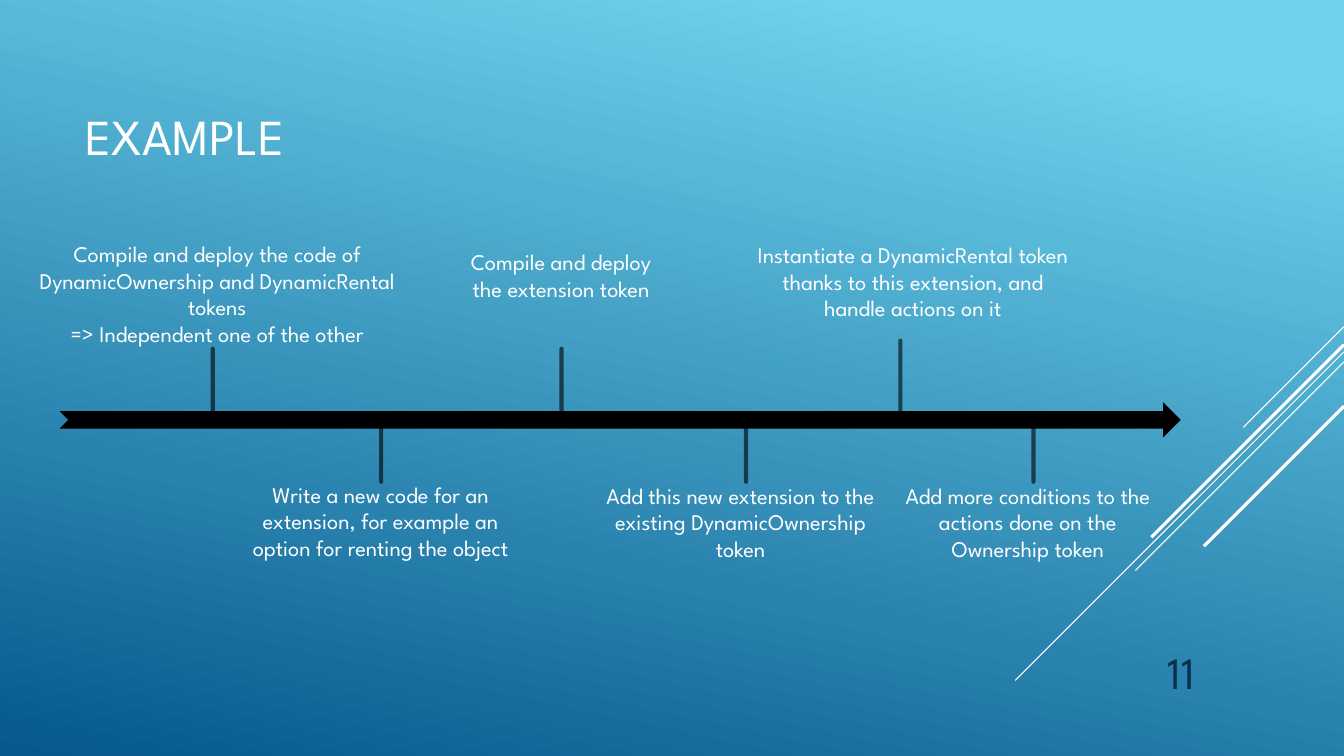
from collections import namedtuple
from dataclasses import dataclass

from lxml import etree
from pptx import Presentation
from pptx.dml.color import RGBColor as RGB
from pptx.enum.shapes import MSO_CONNECTOR as Conn, MSO_SHAPE as Shape
from pptx.enum.text import MSO_ANCHOR as Anchor, MSO_AUTO_SIZE as Fit, PP_ALIGN as Align
from pptx.oxml.ns import qn
from pptx.util import Inches, Pt

Box = namedtuple("Box", "x y w h")
Step = namedtuple("Step", "stem_x stem_y box lines")


@dataclass(frozen=True)
class Theme:
    """Colours, font and type sizes of the deck."""
    font: str = "League Spartan"
    white: RGB = RGB(0xFF, 0xFF, 0xFF)
    black: RGB = RGB(0, 0, 0)
    navy: RGB = RGB(0x0A, 0x30, 0x4A)
    sky: RGB = RGB(0x6E, 0xD2, 0xEB)
    deep: RGB = RGB(0x06, 0x58, 0x8E)
    title: int = 36
    number: int = 32
    body: int = 16
    thin: float = 0.75
    thick: float = 2.25
    stem: float = 3


T = Theme()
SLIDE = Box(0, 0, 13.33, 7.5)
STEM = 0.69
STEM_BELOW = 0.63

# Stem positions and label boxes are relative to the timeline box.
STEPS = [
    Step(1.52, -0.53, Box(-0.34, -1.66, 3.81, 1.18),
         ["Compile and deploy the code of DynamicOwnership and DynamicRental tokens",
          "=> Independent one of the other"]),
    Step(3.19, 0.16, Box(1.81, 0.73, 2.75, 1.18),
         ["Write a new code for an extension, for example an option for renting the object"]),
    Step(4.98, -0.53, Box(3.94, -1.58, 2.07, 0.91),
         ["Compile and deploy the extension token"]),
    Step(6.81, 0.16, Box(5.27, 0.74, 2.97, 1.18),
         ["Add this new extension to the existing DynamicOwnership token"]),
    Step(8.34, -0.61, Box(6.74, -1.65, 3.45, 0.91),
         ["Instantiate a DynamicRental token thanks to this extension, and handle actions on it"]),
    Step(9.66, 0.16, Box(8.29, 0.74, 2.63, 1.18),
         ["Add more conditions to the actions done on the Ownership token"]),
]

# Each streak: start height on the right edge, horizontal run, weight.
STREAKS = [
    (3.24, 1.0, T.thin),
    (3.49, 3.26, T.thin),
    (3.59, 2.07, T.thin),
    (3.42, 1.91, T.thick),
    (4.03, 1.39, T.thick),
]


def add_text(s, box, lines, size, color, align=Align.LEFT, anchor=Anchor.TOP, fit=Fit.NONE):
    """Add a wrapped text box with one paragraph per line."""
    sp = s.shapes.add_textbox(*map(Inches, box))
    tf = sp.text_frame
    tf.word_wrap = True
    tf.auto_size = fit
    tf.vertical_anchor = anchor
    for i, line in enumerate(lines):
        p = tf.add_paragraph() if i else tf.paragraphs[0]
        p.alignment = align
        r = p.add_run()
        r.text = line
        r.font.name = T.font
        r.font.size = Pt(size)
        r.font.color.rgb = color


def add_line(s, x1, y1, x2, y2, color, weight, alpha=None):
    """Add a shadowless line, round-capped and see-through when alpha is given."""
    sp = s.shapes.add_connector(Conn.STRAIGHT, *map(Inches, (x1, y1, x2, y2)))
    sp.line.color.rgb = color
    sp.line.width = Pt(weight)
    spPr = sp._element.spPr
    if alpha is not None:
        ln = spPr.find(qn("a:ln"))
        ln.set("cap", "rnd")
        clr = ln.find(".//" + qn("a:srgbClr"))
        etree.SubElement(clr, qn("a:alpha")).set("val", str(alpha * 1000))
    etree.SubElement(spPr, qn("a:effectLst"))


def add_background(s):
    """Fill the slide with the sky-to-deep gradient."""
    fill = s.background.fill
    fill.gradient()
    fill.gradient_angle = 258
    for stop, pos, color in zip(fill.gradient_stops, (0.1, 1), (T.sky, T.deep)):
        stop.position = pos
        stop.color.rgb = color


def add_streaks(s, box):
    """Draw the 45-degree streaks that run down from the right edge of the box."""
    right = box.x + box.w
    for y, run, weight in STREAKS:
        add_line(s, right, box.y + y, right - run, box.y + y + run, T.white, weight)


def add_timeline(s, box):
    """Draw the arrow in the box, with a stem and a label for every step."""
    sp = s.shapes.add_shape(Shape.NOTCHED_RIGHT_ARROW, *map(Inches, box))
    sp.shadow.inherit = False
    sp.fill.solid()
    sp.fill.fore_color.rgb = T.black
    sp.line.fill.background()
    for step in STEPS:
        x, y = box.x + step.stem_x, box.y + step.stem_y
        length = STEM if step.stem_y < 0 else STEM_BELOW
        add_line(s, x, y + length, x, y, T.black, T.stem, alpha=60)
        label = step.box._replace(x=box.x + step.box.x, y=box.y + step.box.y)
        add_text(s, label, step.lines, T.body, T.white, Align.CENTER,
                 fit=Fit.SHAPE_TO_FIT_TEXT)


def build_timeline_slide(prs, box):
    """Build the example slide within the box."""
    s = prs.slides.add_slide(prs.slide_layouts[6])
    add_background(s)
    add_streaks(s, box)
    add_text(s, Box(box.x + 10.7, box.y + 6.25, 1.25, 0.73), ["11"], T.number, T.navy,
             Align.RIGHT, Anchor.BOTTOM)
    add_text(s, Box(box.x + 0.75, box.y + 0.52, 11.62, 1.65), ["EXAMPLE"], T.title, T.white,
             anchor=Anchor.MIDDLE)
    add_timeline(s, Box(box.x + 0.59, box.y + 3.99, 11.12, 0.35))


prs = Presentation()
prs.slide_width, prs.slide_height = Inches(SLIDE.w), Inches(SLIDE.h)
build_timeline_slide(prs, SLIDE)
prs.save("out.pptx")
